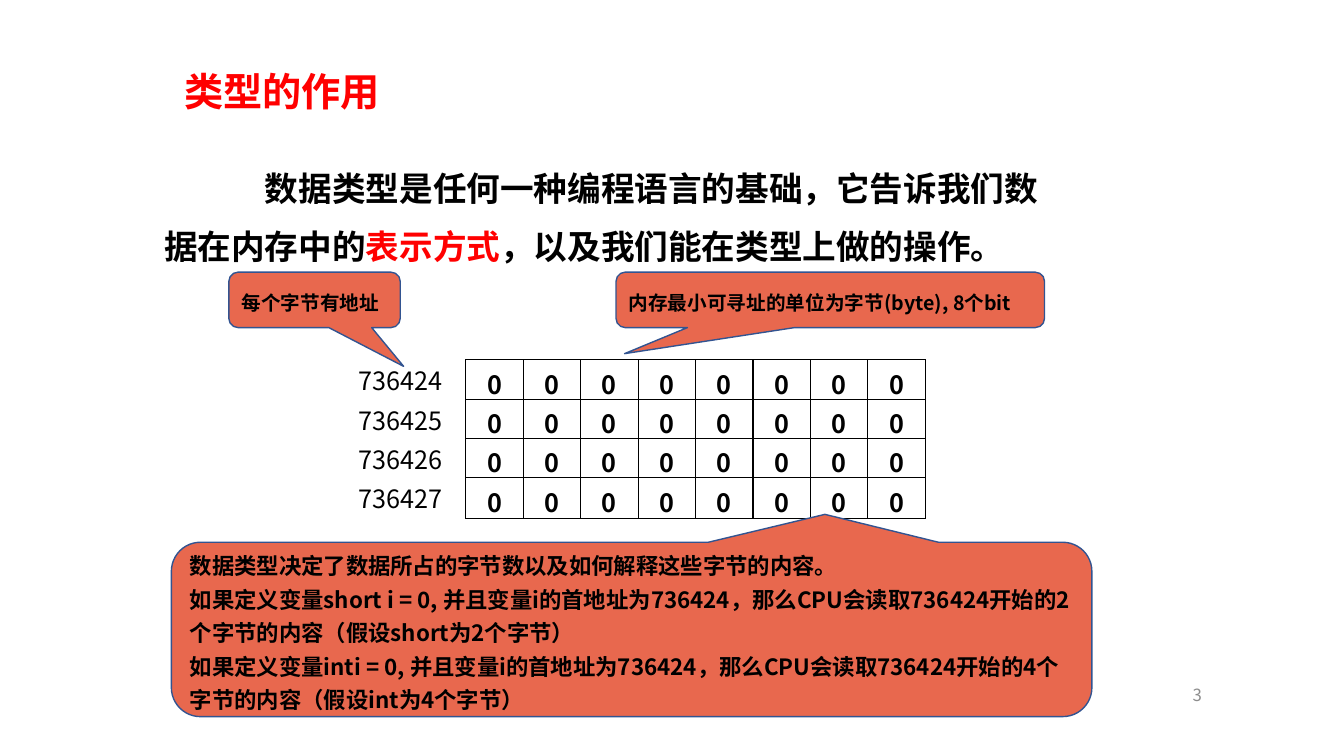
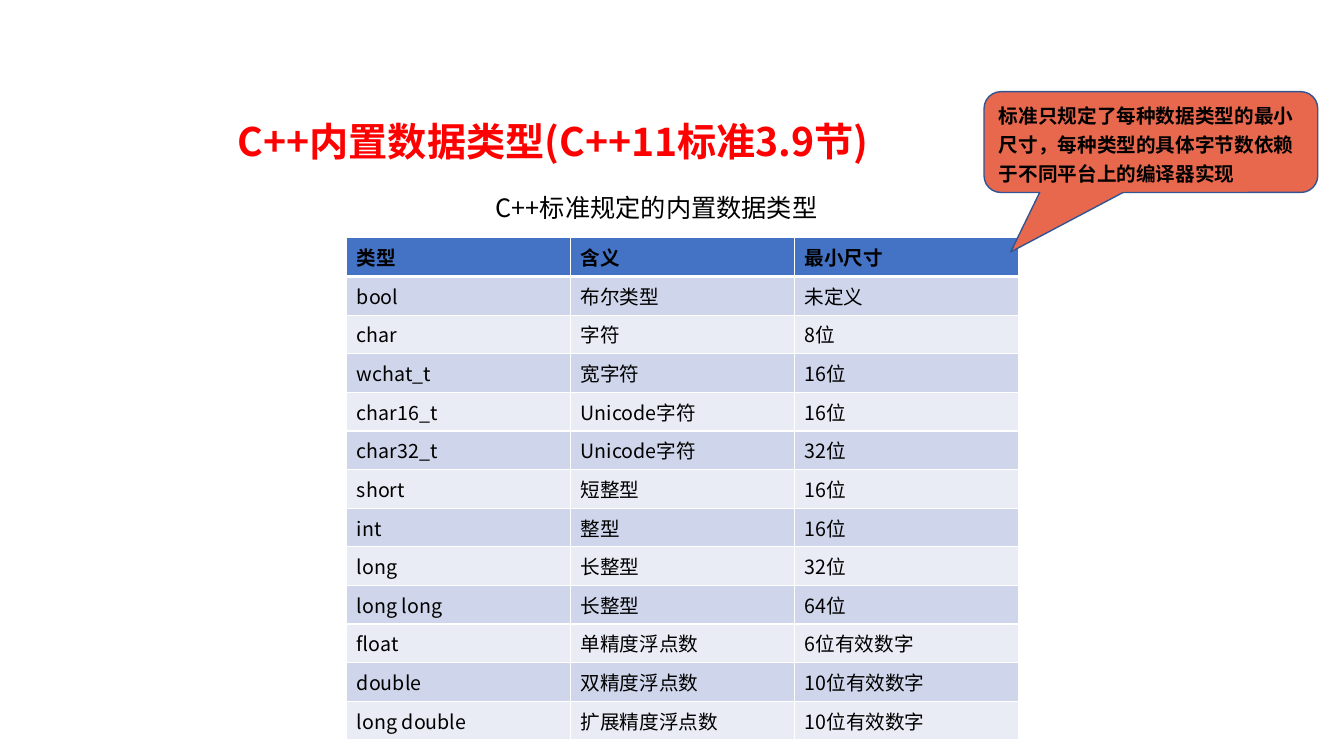
from lxml.etree import SubElement
from pptx import Presentation
from pptx.dml.color import RGBColor
from pptx.enum.shapes import MSO_SHAPE as Preset
from pptx.enum.text import MSO_ANCHOR as Anchor, PP_ALIGN as Align
from pptx.oxml.ns import qn
from pptx.util import Inches, Pt

HEADING_FONT = "Noto Sans CJK SC"
BODY_FONT = "Noto Sans CJK JP"
BLACK, WHITE, RED, GREY = "000000", "FFFFFF", "FF0000", "8C8C8C"
CALLOUT_FILL, CALLOUT_LINE = "E8684E", "325491"
HEADER_FILL, BAND_FILLS = "4472C4", ("CFD5EA", "E9EBF5")

FIRST_ADDRESS, BYTE_COUNT, BIT_COUNT = 736424, 4, 8
BYTE_NOTES = [
    "数据类型决定了数据所占的字节数以及如何解释这些字节的内容。",
    "如果定义变量short i = 0, 并且变量i的首地址为736424，那么CPU会读取736424开始的2个字节的内容（假设short为2个字节）",
    "如果定义变量inti = 0, 并且变量i的首地址为736424，那么CPU会读取736424开始的4个字节的内容（假设int为4个字节）",
]
TYPE_ROWS = [
    ("类型", "含义", "最小尺寸"),
    ("bool", "布尔类型", "未定义"),
    ("char", "字符", "8位"),
    ("wchat_t", "宽字符", "16位"),
    ("char16_t", "Unicode字符", "16位"),
    ("char32_t", "Unicode字符", "32位"),
    ("short", "短整型", "16位"),
    ("int", "整型", "16位"),
    ("long", "长整型", "32位"),
    ("long long", "长整型", "64位"),
    ("float", "单精度浮点数", "6位有效数字"),
    ("double", "双精度浮点数", "10位有效数字"),
    ("long double", "扩展精度浮点数", "10位有效数字"),
]


def rgb(color):
    return RGBColor.from_string(color)


def style(para, size, color=BLACK, bold=False, name=BODY_FONT, align=Align.LEFT):
    para.alignment = align
    font = para.font
    font.size, font.bold, font.name = Pt(size), bold, name
    font.color.rgb = rgb(color)
    # East Asian glyphs take the same typeface
    defaults = para._p.pPr.find(qn("a:defRPr"))
    SubElement(defaults, qn("a:ea")).set("typeface", name)


def add_text(page, box, text, size, anchor=Anchor.TOP, wrap=True, **look):
    frame = page.shapes.add_textbox(*map(Inches, box)).text_frame
    frame.word_wrap, frame.vertical_anchor = wrap, anchor
    para = frame.paragraphs[0]
    para.text = text
    style(para, size, **look)
    return para


def add_title(page, left, top, text):
    add_text(page, (left, top, 8.5, 0.92), text, 28, Anchor.MIDDLE,
             color=RED, bold=True, name=HEADING_FONT)


def add_callout(page, box, tip, lines, size=14):
    shape = page.shapes.add_shape(Preset.ROUNDED_RECTANGULAR_CALLOUT, *map(Inches, box))
    shape.shadow.inherit = False
    shape.adjustments[0], shape.adjustments[1] = tip
    shape.fill.solid()
    shape.fill.fore_color.rgb = rgb(CALLOUT_FILL)
    shape.line.color.rgb = rgb(CALLOUT_LINE)
    shape.line.width = Pt(1)
    frame = shape.text_frame
    frame.word_wrap, frame.vertical_anchor = True, Anchor.MIDDLE
    for index, line in enumerate(lines):
        para = frame.add_paragraph() if index else frame.paragraphs[0]
        para.text = line
        para.line_spacing = Pt(size * 1.49)
        style(para, size, bold=True)


def set_borders(cell, color, bottom=1):
    properties = cell._tc.get_or_add_tcPr()
    for side, width in (("L", 1), ("R", 1), ("T", 1), ("B", bottom)):
        line = SubElement(properties, qn(f"a:ln{side}"), w=str(Pt(width)))
        fill = SubElement(line, qn("a:solidFill"))
        SubElement(fill, qn("a:srgbClr"), val=color)


def add_grid(page, left, top, column_width, row_height, row_count, column_count):
    frame = page.shapes.add_table(
        row_count, column_count, Inches(left), Inches(top),
        Inches(column_width * column_count), Inches(row_height * row_count))
    table = frame.table
    table.horz_banding = table.first_row = False
    for column in table.columns:
        column.width = Inches(column_width)
    for row in table.rows:
        row.height = Inches(row_height)
    return table


def fill_cell(cell, text, size, fill, border, bottom=1, **look):
    set_borders(cell, border, bottom)
    cell.fill.solid()
    cell.fill.fore_color.rgb = rgb(fill)
    para = cell.text_frame.paragraphs[0]
    para.text = text
    style(para, size, **look)


def add_byte(page, left, top, address):
    """An address followed by its row of bits."""
    add_text(page, (left, top + 0.01, 1.06, 0.4), str(address), 18, wrap=False)
    table = add_grid(page, left + 1.16, top, 0.57, 0.39, 1, BIT_COUNT)
    for cell in table.iter_cells():
        cell.vertical_anchor = Anchor.MIDDLE
        fill_cell(cell, "0", 18, WHITE, BLACK, bold=True, align=Align.CENTER)


def add_memory(page, left, top):
    pitch = 0.39
    for index in range(BYTE_COUNT):
        add_byte(page, left, top + index * pitch, FIRST_ADDRESS + index)


def add_type_table(page, left, top):
    add_text(page, (left + 1.38, top - 0.5, 3.49, 0.4),
             "C++标准规定的内置数据类型", 18, wrap=False)
    row_count = len(TYPE_ROWS)
    table = add_grid(page, left, top, 2.22, 4.98 / row_count, row_count, 3)
    for row_index, texts in enumerate(TYPE_ROWS):
        header = row_index == 0
        fill = HEADER_FILL if header else BAND_FILLS[(row_index - 1) % 2]
        for column_index, text in enumerate(texts):
            fill_cell(table.cell(row_index, column_index), text, 14, fill, WHITE,
                      bottom=3 if header else 1, bold=header)


def add_statement(page, box):
    para = add_text(page, box, "数据类型是任何一种编程语言的基础，它告诉我们数据在内存中的",
                    24, bold=True)
    para.line_spacing = Pt(42)
    para._p.pPr.set("indent", str(Inches(1)))
    for text, color in (("表示方式", RED), ("，以及我们能在类型上做的操作。", BLACK)):
        span = para.add_run()
        span.text = text
        span.font.color.rgb = rgb(color)


def build_purpose(page):
    add_text(page, (9.02, 6.69, 3, 0.4), "3", 12, Anchor.MIDDLE,
             color=GREY, name=HEADING_FONT, align=Align.RIGHT)
    add_statement(page, (1.53, 1.43, 9.17, 5.43))
    add_title(page, 1.73, 0.44, "类型的作用")
    add_memory(page, 3.46, 3.57)
    add_callout(page, (6.11, 2.7, 4.25, 0.55), (-0.48, 0.97),
                ["内存最小可寻址的单位为字节(byte), 8个bit"])
    add_callout(page, (2.27, 2.7, 1.7, 0.55), (0.52, 1.2), ["每个字节有地址"])
    add_callout(page, (1.7, 5.38, 9.13, 1.73), (0.21, -0.66), BYTE_NOTES, size=16)


def build_types(page):
    add_title(page, 2.26, 0.94, "C++内置数据类型(C++11标准3.9节)")
    add_type_table(page, 3.44, 2.36)
    add_callout(page, (9.76, 0.91, 3.31, 1), (-0.42, 1.09),
                ["标准只规定了每种数据类型的最小尺寸，每种类型的具体字节数依赖于不同平台上的编译器实现"])


def main():
    deck = Presentation()
    deck.slide_width, deck.slide_height = Inches(13.33), Inches(7.5)
    for build in (build_purpose, build_types):
        build(deck.slides.add_slide(deck.slide_layouts[6]))
    deck.save("out.pptx")


if __name__ == "__main__":
    main()
